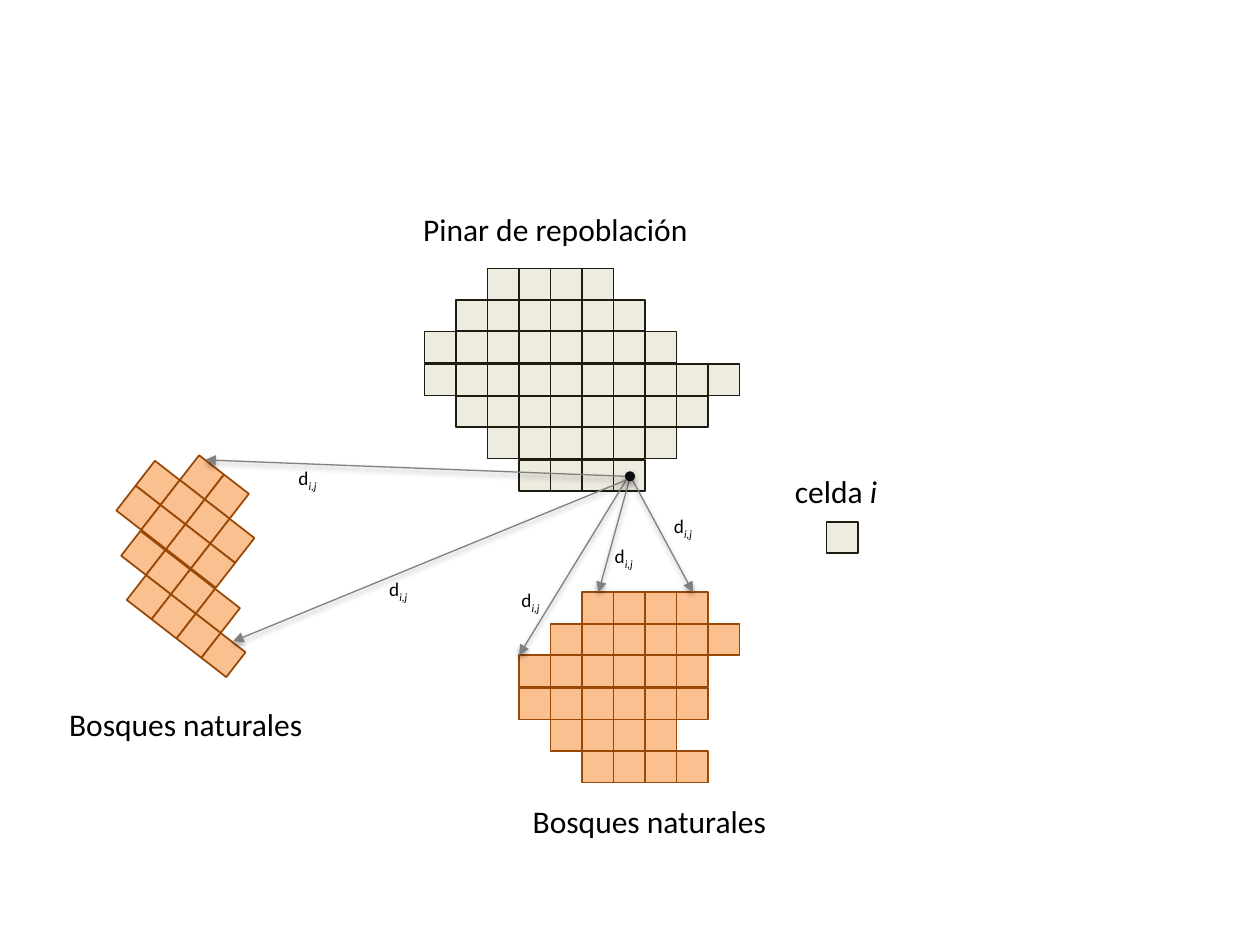
"""Build the slide that shows distances from a pine plantation cell to natural forests."""
import math

import lxml.etree
import pptx
import pptx.dml.color
import pptx.enum.shapes
import pptx.enum.text
import pptx.oxml.ns
import pptx.util

EMU_PER_PX = 9144
CELL = 25
SHADOW_BLUR = 40000
FONT = "Calibri"

BLACK = pptx.dml.color.RGBColor(0x00, 0x00, 0x00)
DOT_BLACK = pptx.dml.color.RGBColor(0x0D, 0x0D, 0x0D)
GREY = pptx.dml.color.RGBColor(0x80, 0x80, 0x80)
PINE_FILL = pptx.dml.color.RGBColor(0xEE, 0xEC, 0xE1)
PINE_LINE = pptx.dml.color.RGBColor(0x1E, 0x1C, 0x11)
FOREST_FILL = pptx.dml.color.RGBColor(0xFA, 0xC0, 0x90)
FOREST_LINE = pptx.dml.color.RGBColor(0x98, 0x48, 0x07)

PINE_ROWS = [(2, 4), (1, 6), (0, 8), (0, 10), (1, 8), (2, 6), (3, 4)]
SOUTH_ROWS = [(2, 4), (1, 6), (0, 6), (0, 6), (1, 4), (2, 4)]
WEST_ROWS = [(1, 2), (0, 4), (0, 4), (1, 4), (2, 4)]

SOUTH_DISTANCES = [(475, 470, 500, 379), (550, 470, 502, 381), (412, 520, 497, 381)]
WEST_DISTANCES = [(185, 509, 497, 381), (163, 365, 496, 378)]
DISTANCE_LABELS = [(525, 403), (404, 462), (227, 365), (299, 453), (478, 427)]
CAPTIONS = [
    ("Pinar de repoblación", 326, 162, 237),
    ("Bosques naturales", 413, 632, 213),
    ("Bosques naturales", 45, 555, 213),
]


def px(length):
    return pptx.util.Emu(round(length * EMU_PER_PX))


def add_cell(shapes, left, top, fill, line, angle=0):
    cell = shapes.add_shape(
        pptx.enum.shapes.MSO_SHAPE.RECTANGLE, px(left), px(top), px(CELL), px(CELL)
    )
    cell.shadow.inherit = False
    cell.fill.solid()
    cell.fill.fore_color.rgb = fill
    cell.line.color.rgb = line
    cell.line.width = pptx.util.Pt(1)
    cell.rotation = angle


def add_patch(slide, left, top, rows, fill, line, angle=0):
    patch = slide.shapes.add_group_shape()
    cos, sin = math.cos(math.radians(angle)), math.sin(math.radians(angle))
    for row, (first, count) in enumerate(rows):
        down = row * 76 // 3
        for column in range(first, first + count):
            across = column * CELL
            add_cell(
                patch.shapes,
                left + across * cos - down * sin,
                top + across * sin + down * cos,
                fill, line, angle,
            )


def add_shadow(properties, distance, opacity):
    tag = pptx.oxml.ns.qn
    for effects in properties.findall(tag("a:effectLst")):
        properties.remove(effects)
    effects = lxml.etree.SubElement(properties, tag("a:effectLst"))
    shadow = lxml.etree.SubElement(
        effects, tag("a:outerShdw"),
        blurRad=str(SHADOW_BLUR), dist=str(distance), dir="5400000", rotWithShape="0",
    )
    tint = lxml.etree.SubElement(shadow, tag("a:srgbClr"), val=str(BLACK))
    lxml.etree.SubElement(tint, tag("a:alpha"), val=str(opacity * 1000))


def add_distance(slide, ends):
    distance = slide.shapes.add_connector(
        pptx.enum.shapes.MSO_CONNECTOR.STRAIGHT, *map(px, ends)
    )
    distance.line.color.rgb = GREY
    distance.line.width = pptx.util.Pt(0.75)
    properties = distance._element.spPr
    outline = properties.find(pptx.oxml.ns.qn("a:ln"))
    lxml.etree.SubElement(outline, pptx.oxml.ns.qn("a:headEnd"), type="triangle")
    add_shadow(properties, 20000, 38)


def add_centre(slide, left, top, size):
    centre = slide.shapes.add_shape(
        pptx.enum.shapes.MSO_SHAPE.OVAL, px(left), px(top), px(size), px(size)
    )
    centre.fill.solid()
    centre.fill.fore_color.rgb = DOT_BLACK
    centre.line.fill.background()
    add_shadow(centre._element.spPr, 23000, 35)


def add_label(slide, left, top, width, height, size):
    label = slide.shapes.add_textbox(px(left), px(top), px(width), px(height))
    frame = label.text_frame
    frame.word_wrap = False
    frame.auto_size = pptx.enum.text.MSO_AUTO_SIZE.SHAPE_TO_FIT_TEXT
    paragraph = frame.paragraphs[0]
    paragraph.font.size = pptx.util.Pt(size)
    return paragraph


def add_run(paragraph, text, italic=None):
    run = paragraph.add_run()
    run.text = text
    run.font.name = FONT
    run.font.size = paragraph.font.size
    run.font.color.rgb = BLACK
    run.font.italic = italic
    return run


def add_distance_label(slide, left, top):
    label = add_label(slide, left, top, 37, 29, 11)
    add_run(label, "d")
    indices = add_run(label, "i,j", True)
    indices.font._element.set("baseline", "-25000")


def add_legend(slide):
    legend = add_label(slide, 621, 370, 91, 40, 18)
    add_run(legend, "celda ")
    add_run(legend, "i", True)
    add_cell(slide.shapes, 656, 414, PINE_FILL, PINE_LINE)


def main():
    presentation = pptx.Presentation()
    presentation.slide_width, presentation.slide_height = px(1000), px(750)
    slide = presentation.slides.add_slide(presentation.slide_layouts[6])

    add_patch(slide, 337, 213, PINE_ROWS, PINE_FILL, PINE_LINE)
    add_patch(slide, 412, 470, SOUTH_ROWS, FOREST_FILL, FOREST_LINE)
    for ends in SOUTH_DISTANCES:
        add_distance(slide, ends)
    add_centre(slide, 496, 374, 8)
    add_patch(slide, 128, 351, WEST_ROWS, FOREST_FILL, FOREST_LINE, 37.8)
    for ends in WEST_DISTANCES:
        add_distance(slide, ends)
    for text, left, top, width in CAPTIONS:
        add_run(add_label(slide, left, top, width, 40, 18), text)
    add_legend(slide)
    for left, top in DISTANCE_LABELS:
        add_distance_label(slide, left, top)
    presentation.save("out.pptx")


if __name__ == "__main__":
    main()
